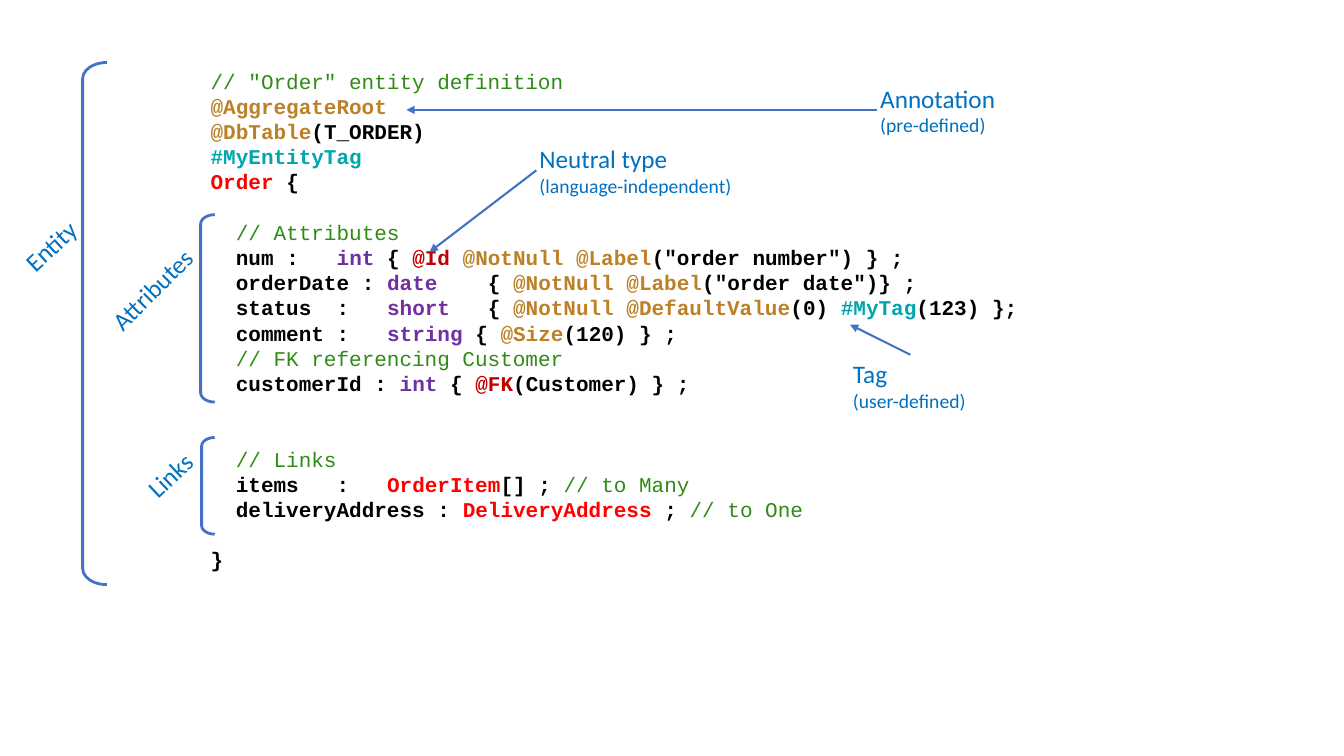
from lxml import etree
from pptx import Presentation, util as u
from pptx.dml.color import RGBColor
from pptx.enum import shapes, text
from pptx.oxml.ns import qn

BLUE, LABEL = "4472C4", "0070C0"
CHAR = 0.125  # width of one code character, in inches
STYLES = {  # colour and weight of each kind of code
    "comment": ("308B16", False),
    "annot": ("BC8027", True),
    "plain": ("000000", True),
    "tag": ("00A6AC", True),
    "entity": ("FF0000", True),
    "type": ("7030A0", True),
    "key": ("C00000", True),
}


def rgb(value):
    return RGBColor.from_string(value)


def add_text(left, top, width, height, paragraphs, wrap=False):
    """Each paragraph is a list of (text, font, size, colour, bold)."""
    sp = s.shapes.add_textbox(*map(u.Inches, (left, top, width, height)))
    tf = sp.text_frame
    frame = {"word_wrap": wrap, "vertical_anchor": text.MSO_ANCHOR.MIDDLE}
    frame.update({f"margin_{side}": u.Inches(0.03) for side in ("left", "right", "top", "bottom")})
    for name, value in frame.items():
        setattr(tf, name, value)
    for i, runs in enumerate(paragraphs):
        p = tf.add_paragraph() if i else tf.paragraphs[0]
        for words, font, size, colour, bold in runs:
            r = p.add_run()
            r.text = words
            for name, value in {"name": font, "size": u.Pt(size), "bold": bold}.items():
                setattr(r.font, name, value)
            r.font.color.rgb = rgb(colour)
    return sp


prs = Presentation()
prs.slide_width, prs.slide_height = u.Inches(13.33), u.Inches(7.5)
s = prs.slides.add_slide(prs.slide_layouts[6])

# Code lines: indent and tab stops in characters, blank lines above, runs
code = [
    (0, [], 0, [("comment", '// "Order" entity definition')]),
    (0, [], 0, [("annot", "@AggregateRoot")]),
    (0, [], 0, [("annot", "@DbTable"), ("plain", "(T_ORDER)")]),
    (0, [], 0, [("tag", "#MyEntityTag")]),
    (0, [], 0, [("entity", "Order "), ("plain", "{")]),
    (2, [], 1, [("comment", "// Attributes")]),
    (2, [8, 14, 21], 0, [("plain", "num\t:\t"), ("type", "int"), ("plain", "\t{ "), ("key", "@Id "),
                         ("annot", "@NotNull @Label"), ("plain", '("order number") } ;')]),
    (2, [21], 0, [("plain", "orderDate : "), ("type", "date"), ("plain", "\t{ "),
                  ("annot", "@NotNull @Label"), ("plain", '("order date")} ;')]),
    (2, [10, 14, 21], 0, [("plain", "status\t:\t"), ("type", "short"), ("plain", "\t{ "),
                          ("annot", "@NotNull @DefaultValue"), ("plain", "(0) "),
                          ("tag", "#MyTag"), ("plain", "(123) };")]),
    (2, [14], 0, [("plain", "comment :\t"), ("type", "string "), ("plain", "{ "),
                  ("annot", "@Size"), ("plain", "(120) } ;")]),
    (2, [], 0, [("comment", "// FK referencing Customer")]),
    (2, [], 0, [("plain", "customerId : "), ("type", "int "), ("plain", "{ "),
                ("key", "@FK"), ("plain", "(Customer) } ;")]),
    (2, [], 2, [("comment", "// Links")]),
    (2, [9, 20], 0, [("plain", "items\t:\t"), ("entity", "OrderItem"), ("plain", "[] ; "),
                     ("comment", "// to Many")]),
    (2, [], 0, [("plain", "deliveryAddress : "), ("entity", "DeliveryAddress "), ("plain", "; "),
                ("comment", "// to One")]),
    (0, [], 1, [("plain", "}")]),
]
listing = add_text(2.06, 0.62, 9.16, 5.11, [
    [(words, "Courier New", 15, *STYLES[kind]) for kind, words in runs] for *_, runs in code
], wrap=True)
for p, (indent, stops, blanks, _) in zip(listing.text_frame.paragraphs, code):
    p.line_spacing, p.space_before = u.Pt(18), u.Pt(18 * blanks)
    pPr = p._p.get_or_add_pPr()
    pPr.set("marL", str(u.Inches(indent * CHAR)))
    pPr.set("indent", "0")
    if stops:
        tabs = etree.SubElement(pPr, qn("a:tabLst"))
        for stop in stops:
            etree.SubElement(tabs, qn("a:tab"), pos=str(u.Inches(stop * CHAR)), algn="l")

# Brackets around the entity, its attributes and its links
for box in [(0.82, 0.62, 0.24, 5.18), (1.99, 2.13, 0.14, 1.86), (2, 4.34, 0.13, 0.96)]:
    sp = s.shapes.add_shape(shapes.MSO_SHAPE.LEFT_BRACKET, *map(u.Inches, box))
    sp.adjustments[0] = 0.665
    sp.shadow.inherit = False
    sp.fill.background()
    sp.line.color.rgb, sp.line.width = rgb(BLUE), u.Pt(2)

# Slanted bracket labels
for words, box, angle in [("Entity", (0.17, 2.24, 0.7, 0.36), 317.1),
                          ("Attributes", (0.97, 2.68, 1.09, 0.36), 315),
                          ("Links", (1.4, 4.53, 0.57, 0.36), 316.7)]:
    add_text(*box, [[(words, "Calibri", 18, LABEL, False)]]).rotation = angle

# Callouts, each with an arrow from one side of its label
for name, note, box, side, target in [
    ("Annotation", "(pre-defined)", (8.7, 0.79, 1.22, 0.6), 1, (4.03, 1.09)),
    ("Neutral type", "(language-independent)", (5.32, 1.39, 1.99, 0.6), 1, (4.26, 2.5)),
    ("Tag", "(user-defined)", (8.43, 3.52, 1.2, 0.6), 0, (8.43, 3.22)),
]:
    label = add_text(*box, [[(name, "Calibri", 18, LABEL, False)], [(note, "Calibri", 14, LABEL, False)]])
    end = [u.Inches(v) for v in target]
    arrow = s.shapes.add_connector(shapes.MSO_CONNECTOR.STRAIGHT, label.left, label.top, *end)
    arrow.begin_connect(label, side)
    arrow.line.color.rgb, arrow.line.width = rgb(BLUE), u.Pt(1.5)
    etree.SubElement(arrow.line._get_or_add_ln(), qn("a:tailEnd"), type="triangle")
    etree.SubElement(arrow._element.spPr, qn("a:effectLst"))

prs.save("out.pptx")
